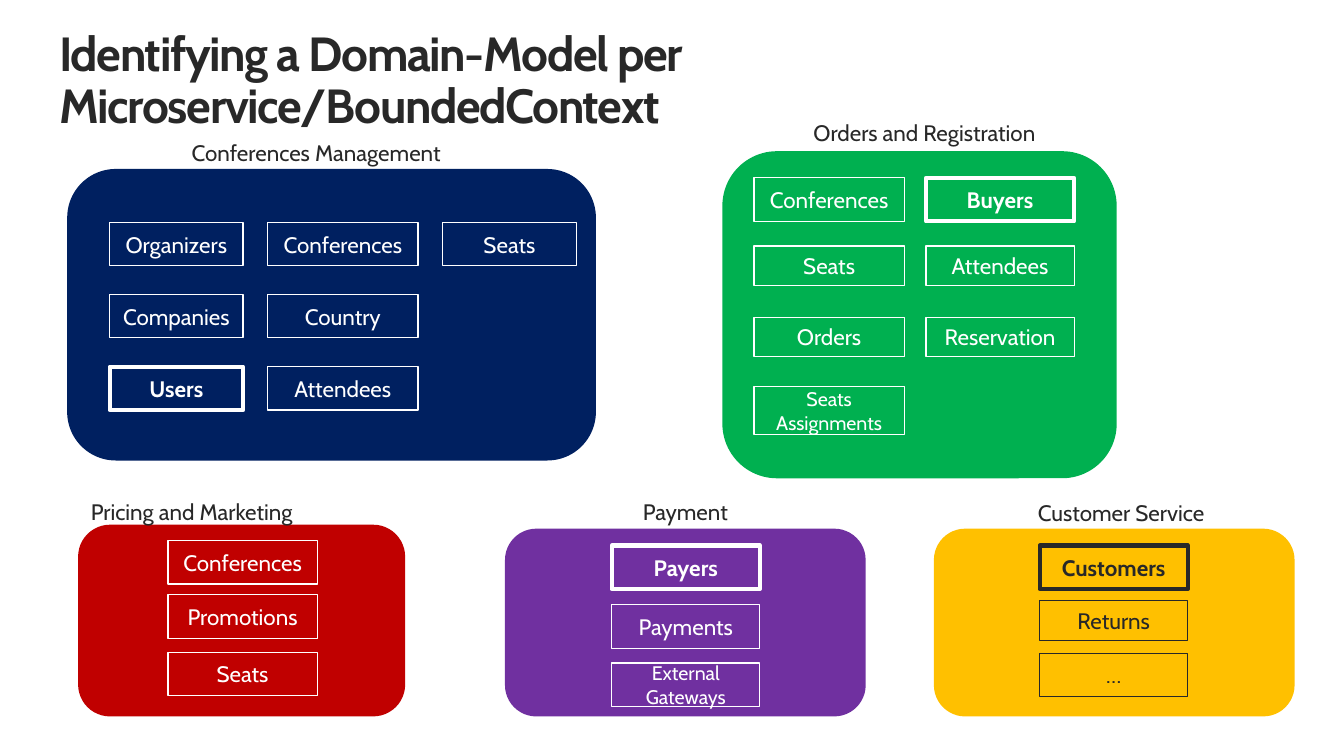
from dataclasses import dataclass

from pptx import Presentation
from pptx.dml.color import RGBColor
from pptx.enum.shapes import MSO_SHAPE as Shape
from pptx.enum.text import MSO_ANCHOR as Anchor, MSO_AUTO_SIZE as AutoSize, PP_ALIGN as Align
from pptx.util import Inches, Pt

COLOURS = {
    "ink": "282828",
    "white": "FFFFFF",
    "navy": "002060",
    "green": "00B050",
    "purple": "7030A0",
    "red": "C00000",
    "amber": "FFC000",
}
TITLE = "Identifying a Domain-Model per Microservice/BoundedContext"
KEY_ENTITIES = {"Users", "Buyers", "Payers", "Customers"}
TWO_LINE_ENTITIES = {"Seats Assignments", "External Gateways"}

TITLE_FONT = {"name": "Cabin", "size": Pt(34.9), "bold": True}
LABEL_FONT = {"name": "Cabin", "size": Pt(16.3)}
KEY_FONT = LABEL_FONT | {"bold": True}
SMALL_FONT = LABEL_FONT | {"size": Pt(14.3)}

TITLE_FRAME = {
    "word_wrap": True,
    "auto_size": AutoSize.NONE,
    "margin_left": Inches(0.16),
    "margin_right": Inches(0.16),
    "margin_top": Inches(0.1),
    "margin_bottom": Inches(0.1),
}
LABEL_FRAME = {"word_wrap": True, "auto_size": AutoSize.SHAPE_TO_FIT_TEXT}
ENTITY_FRAME = {"word_wrap": True, "vertical_anchor": Anchor.MIDDLE}


@dataclass
class Context:
    """A bounded context: boxes are (left, top, width, height) in inches,
    rows are (top, height), columns are (left, width, entities)."""
    name: str
    label_box: tuple
    panel_box: tuple
    colour: str
    rows: list
    columns: list
    ink: str = "white"
    label_align: Align = Align.CENTER


CONTEXTS = [
    Context("Conferences Management", (0.68, 1.36, 5.04, 0.38), (0.68, 1.71, 5.35, 2.95), "navy",
            [(2.25 + 0.73 * row, 0.44) for row in range(3)],
            [(1.11, 1.35, ["Organizers", "Companies", "Users"]),
             (2.71, 1.52, ["Conferences", "Country", "Attendees"]),
             (4.48, 1.35, ["Seats"])]),
    Context("Orders and Registration", (7.7, 1.16, 3.31, 0.38), (7.31, 1.53, 3.99, 3.31), "green",
            [(1.8, 0.44), (2.49, 0.4), (3.21, 0.4), (3.91, 0.49)],
            [(7.63, 1.52, ["Conferences", "Seats", "Orders", "Seats Assignments"]),
             (9.37, 1.5, ["Buyers", "Attendees", "Reservation"])]),
    Context("Pricing and Marketing", (0.82, 4.99, 3.15, 0.38), (0.79, 5.31, 3.31, 1.94), "red",
            [(5.47, 0.44), (6.02, 0.44), (6.6, 0.44)],
            [(1.7, 1.51, ["Conferences", "Promotions", "Seats"])],
            label_align=Align.LEFT),
    Context("Payment", (5.28, 4.99, 3.31, 0.38), (5.11, 5.35, 3.65, 1.9), "purple",
            [(5.52, 0.44), (6.12, 0.44), (6.71, 0.44)],
            [(6.19, 1.5, ["Payers", "Payments", "External Gateways"])]),
    Context("Customer Service", (9.69, 5, 3.31, 0.38), (9.45, 5.35, 3.65, 1.9), "amber",
            [(5.52, 0.44), (6.08, 0.4), (6.61, 0.44)],
            [(10.52, 1.5, ["Customers", "Returns", "…"])],
            ink="ink"),
]


def rgb(colour):
    return RGBColor.from_string(COLOURS[colour])


def inches(box):
    return [Inches(length) for length in box]


def apply(target, values):
    for attribute, value in values.items():
        setattr(target, attribute, value)


def write(holder, text, frame_format, font_format, colour, align):
    """Put one formatted paragraph into a shape and return the paragraph."""
    apply(holder.text_frame, frame_format)
    paragraph = holder.text_frame.paragraphs[0]
    paragraph.alignment = align
    run = paragraph.add_run()
    run.text = text
    apply(run.font, font_format)
    run.font.color.rgb = rgb(colour)
    return paragraph


def add_title(slide):
    title = slide.shapes.add_textbox(*inches((0.44, 0.21, 12.66, 0.63)))
    paragraph = write(title, TITLE, TITLE_FRAME, TITLE_FONT, "ink", Align.LEFT)
    paragraph.line_spacing = 0.9
    paragraph.runs[0].font._element.set("spc", "-100")


def add_panel(slide, context):
    panel = slide.shapes.add_shape(Shape.ROUNDED_RECTANGLE, *inches(context.panel_box))
    panel.shadow.inherit = False
    panel.fill.solid()
    panel.fill.fore_color.rgb = rgb(context.colour)
    panel.line.fill.background()


def add_label(slide, context):
    label = slide.shapes.add_textbox(*inches(context.label_box))
    write(label, context.name, LABEL_FRAME, LABEL_FONT, "ink", context.label_align)


def add_entity(slide, name, box, ink):
    entity = slide.shapes.add_shape(Shape.RECTANGLE, *inches(box))
    entity.shadow.inherit = False
    entity.fill.background()
    entity.line.color.rgb = rgb(ink)
    entity.line.width = Pt(3 if name in KEY_ENTITIES else 0.85)
    if name in KEY_ENTITIES:
        font_format = KEY_FONT
    elif name in TWO_LINE_ENTITIES:
        font_format = SMALL_FONT
    else:
        font_format = LABEL_FONT
    write(entity, name, ENTITY_FRAME, font_format, ink, Align.CENTER)


def add_context(slide, context):
    add_panel(slide, context)
    add_label(slide, context)
    for left, width, entities in context.columns:
        for name, (top, height) in zip(entities, context.rows):
            add_entity(slide, name, (left, top, width, height), context.ink)


def main():
    deck = Presentation()
    deck.slide_width, deck.slide_height = Inches(13.6), Inches(7.65)
    slide = deck.slides.add_slide(deck.slide_layouts[6])
    add_title(slide)
    for context in CONTEXTS:
        add_context(slide, context)
    deck.save("out.pptx")


if __name__ == "__main__":
    main()
